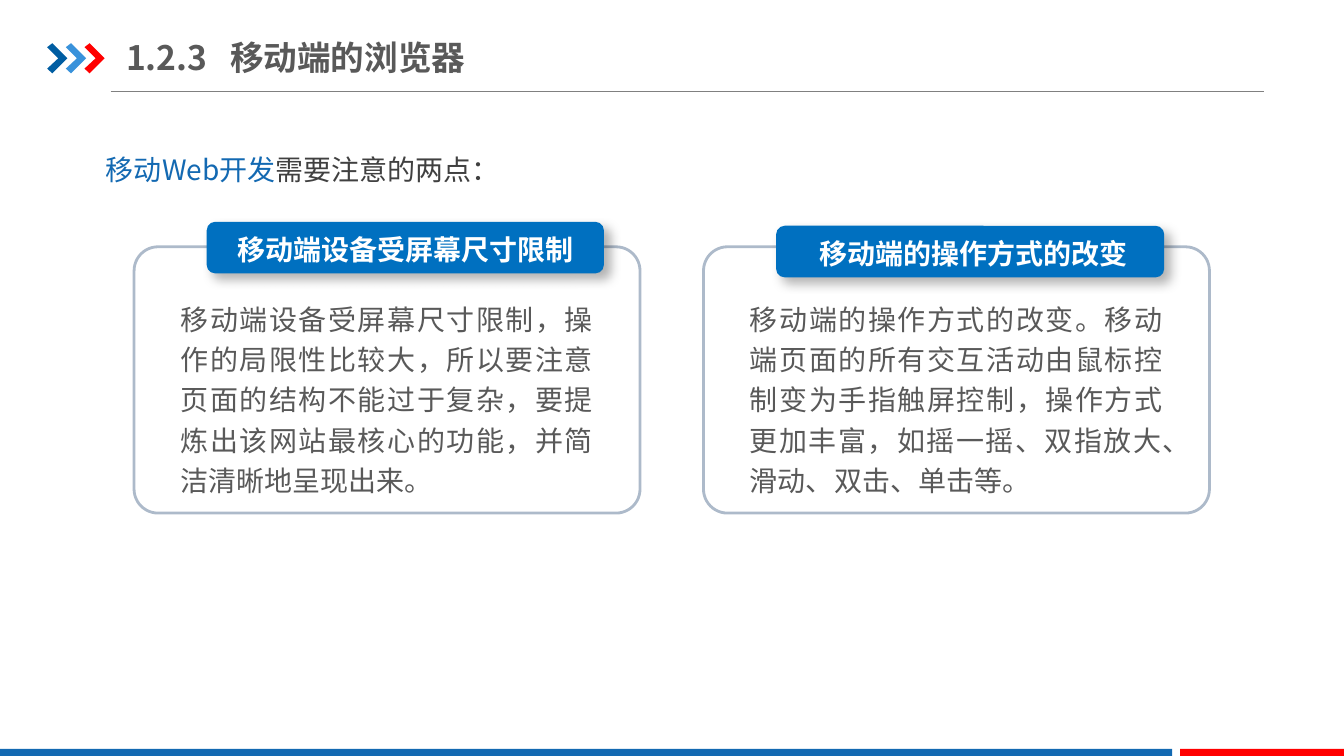
"""Build the slide on two points to watch in mobile web development."""
import pptx
import pptx.dml.color
import pptx.enum.shapes
import pptx.enum.text
import pptx.oxml
import pptx.oxml.ns
import pptx.util

Cm, Pt = pptx.util.Cm, pptx.util.Pt
SHAPES = pptx.enum.shapes.MSO_SHAPE
ALIGN = pptx.enum.text.PP_ALIGN
ANCHOR = pptx.enum.text.MSO_ANCHOR

FONT = "Noto Sans CJK SC"
BLUE, RED, GREY, WHITE = "1369B2", "FF0000", "595959", "FFFFFF"
TITLE = "1.2.3\t移动端的浏览器"
INTRO = [("移动Web开发", BLUE), ("需要注意的两点：", "404040")]
CARDS = [
    {
        "left": 3.38,
        "tab": (5.21, 5.59, 10.01, 1.3),
        "label": (5.54, 5.72, 9.37, 1.12),
        "heading": "移动端设备受屏幕尺寸限制",
        "body": "移动端设备受屏幕尺寸限制，操作的局限性比较大，所以要注意页面的结构不能过于复杂，"
                "要提炼出该网站最核心的功能，并简洁清晰地呈现出来。",
    },
    {
        "left": 17.73,
        "tab": (19.56, 5.69, 9.78, 1.3),
        "label": (20.14, 5.84, 8.79, 1.12),
        "heading": "移动端的操作方式的改变",
        "body": "移动端的操作方式的改变。移动端页面的所有交互活动由鼠标控制变为手指触屏控制，"
                "操作方式更加丰富，如摇一摇、双指放大、滑动、双击、单击等。",
    },
]
CARD_TOP, CARD_WIDTH, CARD_HEIGHT = 6.22, 12.75, 6.71
BODY_INDENT, BODY_TOP, BODY_WIDTH, BODY_HEIGHT = 0.92, 7.32, 10.9, 5.38
CHEVRON_COLOURS = ["005DA2", "3992DB", RED]
CHEVRON_LEFT, CHEVRON_TOP, CHEVRON_STEP = 1.19, 1.09, 0.47
CHEVRON = [(0, 0.1), (0.13, 0), (0.51, 0.38), (0.13, 0.76), (0, 0.64), (0.28, 0.38)]
FOOTER = [(0, 29.54, BLUE), (29.74, 4.13, RED)]
FOOTER_TOP, FOOTER_HEIGHT = 18.87, 0.18


def paint(colour_format, colour):
    colour_format.rgb = pptx.dml.color.RGBColor.from_string(colour)


def style(shape, fill=None, line=None, width=2):
    shape.shadow.inherit = False
    if fill:
        shape.fill.solid()
        paint(shape.fill.fore_color, fill)
    else:
        shape.fill.background()
    if line:
        paint(shape.line.color, line)
        shape.line.width = Pt(width)
    else:
        shape.line.fill.background()


def add_box(slide, kind, box, **look):
    shape = slide.shapes.add_shape(kind, *map(Cm, box))
    style(shape, **look)
    return shape


def add_text(slide, box, runs, size=20, bold=False, align=ALIGN.LEFT, spacing=None,
             insets=(0.25, 0.13), anchor=ANCHOR.TOP, grow=True):
    frame = slide.shapes.add_textbox(*map(Cm, box)).text_frame
    frame.word_wrap = True
    fit = pptx.enum.text.MSO_AUTO_SIZE
    frame.auto_size = fit.SHAPE_TO_FIT_TEXT if grow else fit.NONE
    frame.vertical_anchor = anchor
    frame.margin_left = frame.margin_right = Cm(insets[0])
    frame.margin_top = frame.margin_bottom = Cm(insets[1])
    paragraph = frame.paragraphs[0]
    paragraph.alignment = align
    if spacing:
        paragraph.line_spacing = spacing
    for text, colour in runs:
        run = paragraph.add_run()
        run.text = text
        run.font.name, run.font.size, run.font.bold = FONT, Pt(size), bold
        paint(run.font.color, colour)
        east_asian = pptx.oxml.parse_xml(
            f'<a:ea {pptx.oxml.ns.nsdecls("a")} typeface="{FONT}"/>')
        run.font._element.find(pptx.oxml.ns.qn("a:latin")).addnext(east_asian)
    return paragraph


def add_tab_stop(paragraph, position):
    paragraph._p.get_or_add_pPr().append(pptx.oxml.parse_xml(
        f'<a:tabLst {pptx.oxml.ns.nsdecls("a")}>'
        f'<a:tab pos="{Cm(position)}" algn="l"/></a:tabLst>'))


def add_shadow(shape):
    effects = shape._element.spPr.find(pptx.oxml.ns.qn("a:effectLst"))
    effects.append(pptx.oxml.parse_xml(
        f'<a:outerShdw {pptx.oxml.ns.nsdecls("a")} blurRad="{Pt(8)}" dist="{Pt(6)}" '
        'dir="2700000" algn="tl" rotWithShape="0"><a:srgbClr val="000000">'
        '<a:alpha val="30000"/></a:srgbClr></a:outerShdw>'))


def add_header(slide):
    rule = slide.shapes.add_connector(
        pptx.enum.shapes.MSO_CONNECTOR.STRAIGHT, Cm(2.79), Cm(2.31), Cm(31.85), Cm(2.31))
    paint(rule.line.color, "808080")
    rule.line.width = Pt(0.75)
    rule._element.spPr.append(pptx.oxml.parse_xml(
        f'<a:effectLst {pptx.oxml.ns.nsdecls("a")}/>'))
    for index, colour in enumerate(CHEVRON_COLOURS):
        left = CHEVRON_LEFT + index * CHEVRON_STEP
        points = [(Cm(left + x), Cm(CHEVRON_TOP + y)) for x, y in CHEVRON]
        builder = slide.shapes.build_freeform(*points[0])
        builder.add_line_segments(points[1:], close=True)
        style(builder.convert_to_shape(), fill=colour)
    title = add_text(slide, (3.18, 0.74, 10.82, 1.4), [(TITLE, GREY)], size=24, bold=True,
                     insets=(0, 0.18), anchor=ANCHOR.MIDDLE, grow=False)
    add_tab_stop(title, 2.62)


def add_card(slide, card):
    frame = add_box(slide, SHAPES.ROUNDED_RECTANGLE,
                    (card["left"], CARD_TOP, CARD_WIDTH, CARD_HEIGHT), line="ADBACA")
    frame.adjustments[0] = 0.09
    add_text(slide, (card["left"] + BODY_INDENT, BODY_TOP, BODY_WIDTH, BODY_HEIGHT),
             [(card["body"], GREY)], align=ALIGN.JUSTIFY, spacing=1.2)
    add_shadow(add_box(slide, SHAPES.ROUNDED_RECTANGLE, card["tab"], fill="0070C0"))
    add_text(slide, card["label"], [(card["heading"], WHITE)], bold=True, align=ALIGN.CENTER)


def main():
    presentation = pptx.Presentation()
    presentation.slide_width, presentation.slide_height = Cm(33.87), Cm(19.05)
    slide = presentation.slides.add_slide(presentation.slide_layouts[6])
    add_header(slide)
    for left, width, colour in FOOTER:
        add_box(slide, SHAPES.RECTANGLE, (left, FOOTER_TOP, width, FOOTER_HEIGHT), fill=colour)
    add_text(slide, (2.34, 3.25, 29.01, 1.63), INTRO, align=ALIGN.JUSTIFY, spacing=1.5,
             insets=(0.33, 0.18))
    for card in CARDS:
        add_card(slide, card)
    presentation.save("out.pptx")


if __name__ == "__main__":
    main()
